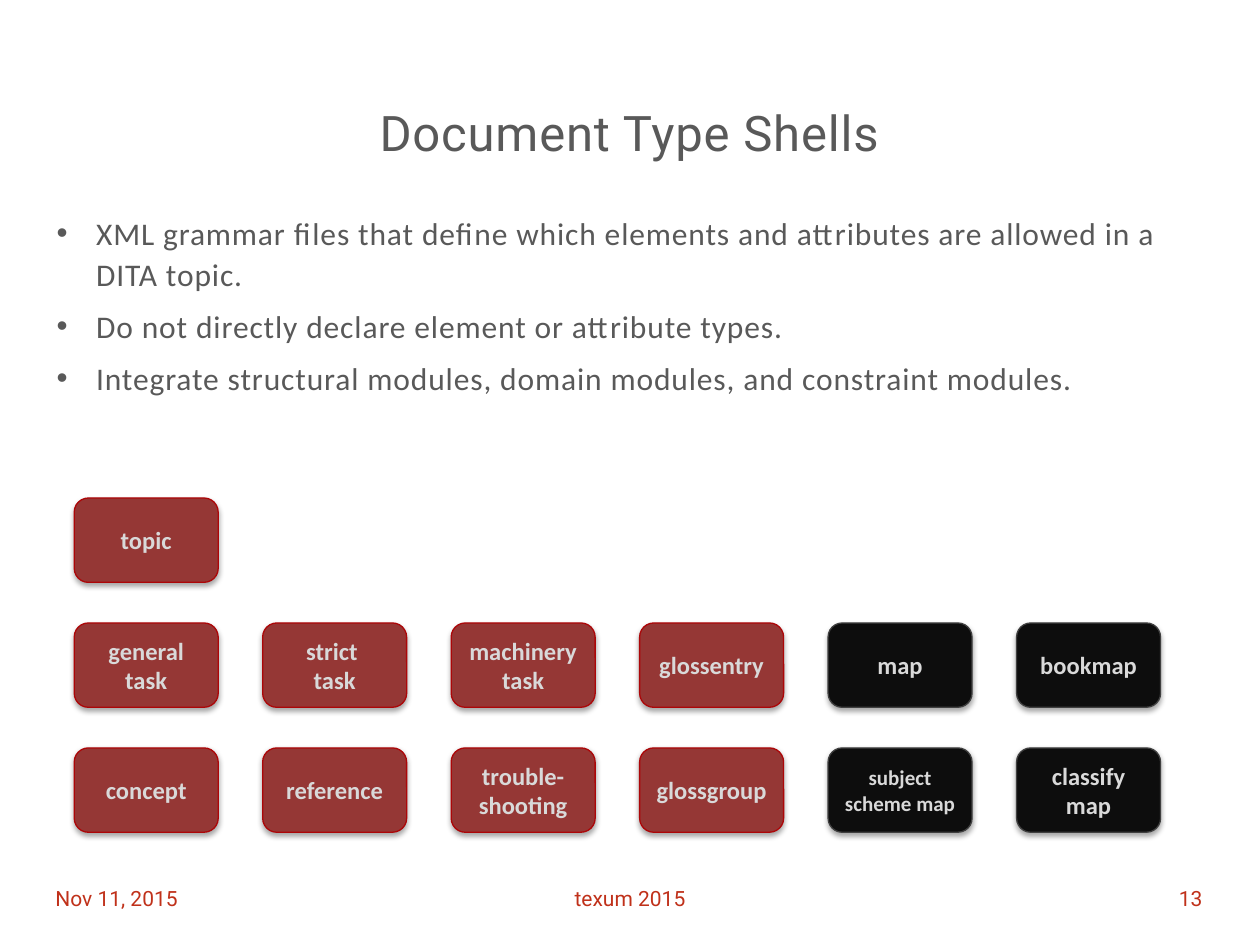
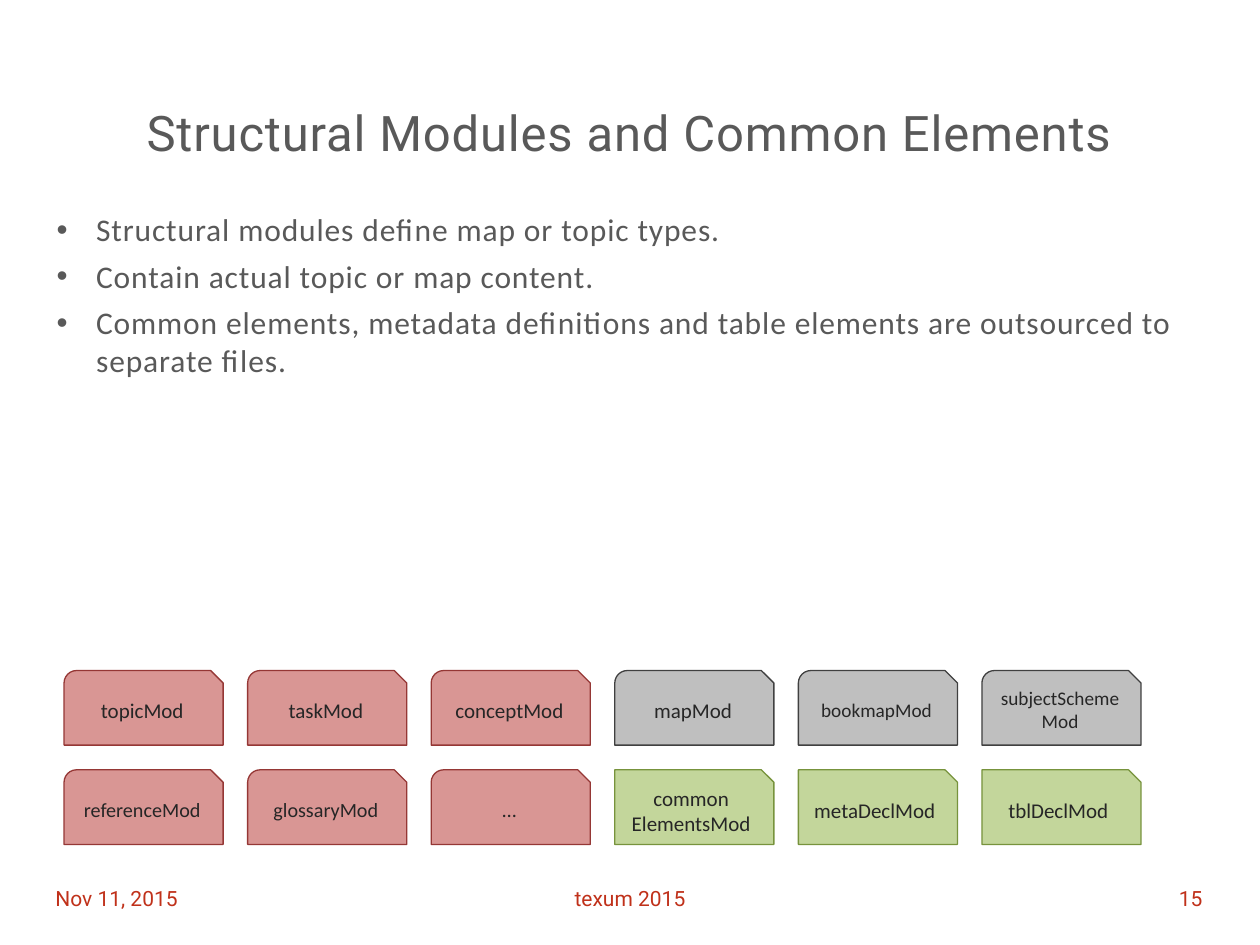
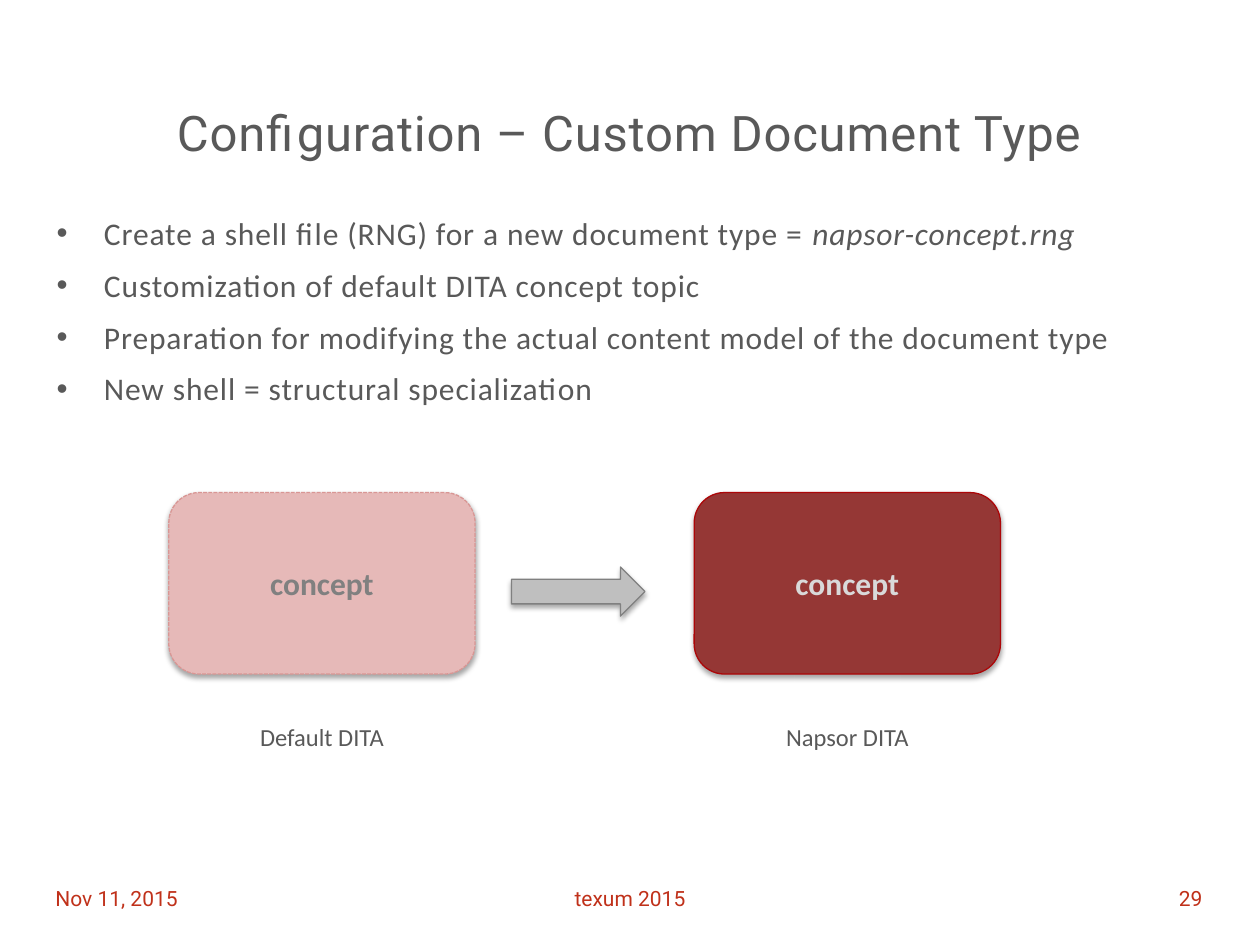
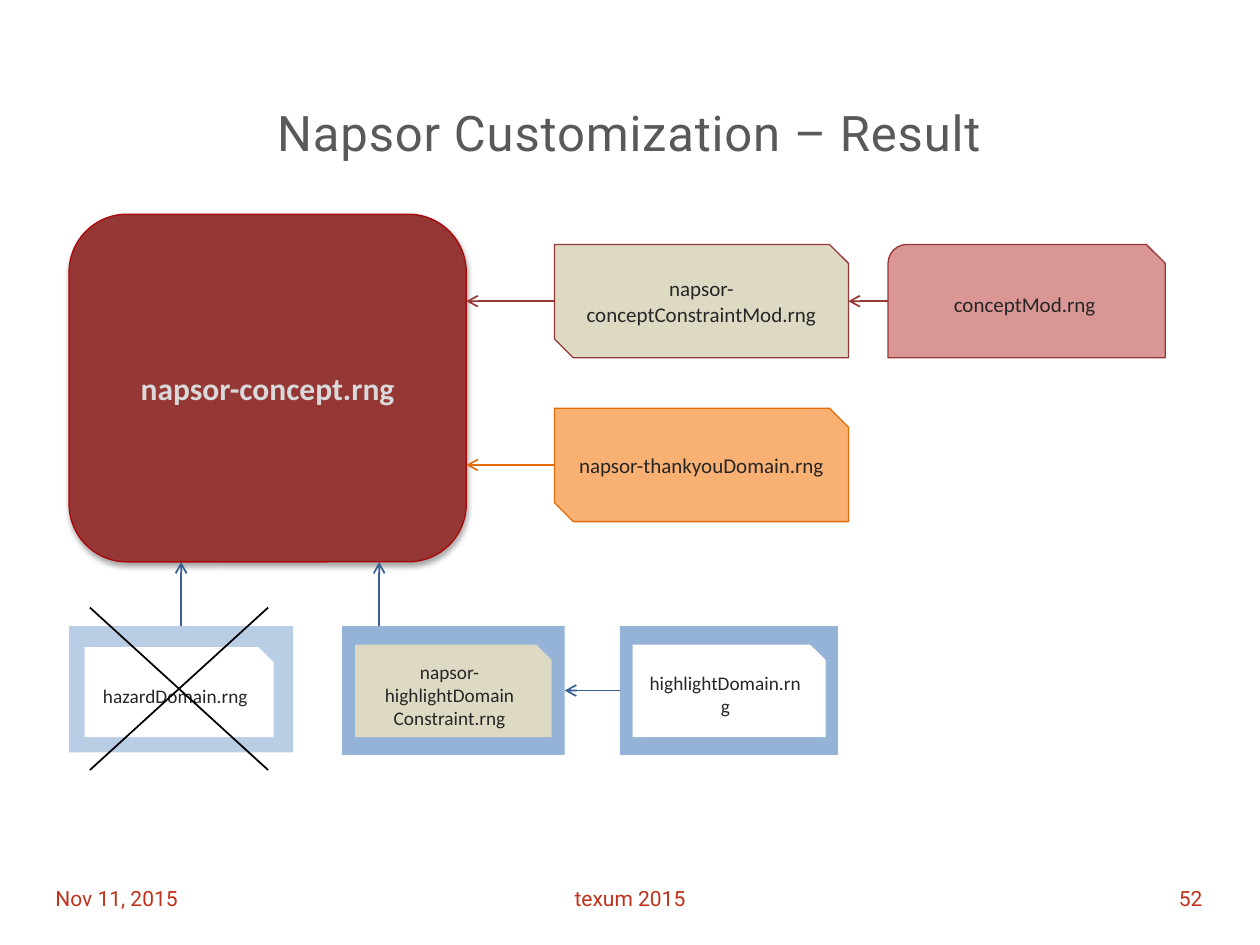
from copy import deepcopy
from dataclasses import dataclass

from lxml import etree
from pptx import Presentation
from pptx.dml.color import RGBColor
from pptx.enum.dml import MSO_LINE
from pptx.enum.shapes import MSO_CONNECTOR, MSO_SHAPE, PP_PLACEHOLDER
from pptx.enum.text import MSO_ANCHOR, MSO_AUTO_SIZE, PP_ALIGN
from pptx.oxml.ns import qn
from pptx.util import Pt

ROUND = MSO_SHAPE.ROUNDED_RECTANGLE
RECT = MSO_SHAPE.RECTANGLE
SNIP = MSO_SHAPE.SNIP_1_RECTANGLE
SNIP_ROUND = MSO_SHAPE.SNIP_ROUND_RECTANGLE
SNIP_DIAGONAL = MSO_SHAPE.SNIP_2_DIAG_RECTANGLE
ARROW = MSO_SHAPE.RIGHT_ARROW
STRAIGHT = MSO_CONNECTOR.STRAIGHT
DASH = MSO_LINE.SQUARE_DOT
LEFT, CENTER, RIGHT = PP_ALIGN.LEFT, PP_ALIGN.CENTER, PP_ALIGN.RIGHT
TOP, MIDDLE = MSO_ANCHOR.TOP, MSO_ANCHOR.MIDDLE
NO_FIT = MSO_AUTO_SIZE.NONE
TOP_SIDE, LEFT_SIDE, BOTTOM_SIDE, RIGHT_SIDE = range(4)
TITLE_AND_BODY, TITLE_ONLY = 1, 5


@dataclass(frozen=True)
class Theme:
    title_font: str = "Roboto"
    body_font: str = "Calibri"
    title_size: float = 28
    body_size: float = 18
    shell_size: float = 14
    module_size: float = 12
    domain_size: float = 11
    footer_size: float = 12
    spacing: int = 50
    text: str = "595959"
    dark_text: str = "262626"
    footer: str = "C0311A"
    black: str = "000000"
    red: str = "953735"
    orange: str = "E46C0A"
    blue: str = "376092"
    frame_blue: str = "95B3D7"
    pale_blue: str = "B9CDE5"


THEME = Theme()


@dataclass(frozen=True)
class Look:
    fill: str
    line: str = None
    color: str = THEME.dark_text
    bold: bool = False
    shadow: bool = False
    dash: bool = False


SHELL = Look(THEME.red, "AC0608", "D9D9D9", bold=True, shadow=True)
MAP_SHELL = Look("0D0D0D", "404040", "D9D9D9", bold=True, shadow=True)
OLD_SHELL = Look("E6B9B8", "D99694", "808080", bold=True, shadow=True, dash=True)
STEP = Look("BFBFBF", "808080", shadow=True)
TOPIC_MODULE = Look("D99694", THEME.red)
MAP_MODULE = Look("BFBFBF", "404040")
COMMON_MODULE = Look("C3D69B", "77933C")
CONSTRAINT = Look("DDD9C3", THEME.red)
DOMAIN = Look("F9B073", THEME.orange)
FRAME = Look(THEME.frame_blue)
OLD_FRAME = Look(THEME.pale_blue)
WHITE_CARD = Look("FFFFFF")
CONSTRAINT_CARD = Look("DDD9C3")

# Content
DATE, EVENT = "Nov 11, 2015", "texum 2015"

# A bullet is its plain text and its italic ending
SHELL_BULLETS = [
    ("XML grammar files that define which elements and attributes are allowed in a DITA topic.", ""),
    ("Do not directly declare element or attribute types.", ""),
    ("Integrate structural modules, domain modules, and constraint modules.", ""),
]
MODULE_BULLETS = [
    ("Structural modules define map or topic types.", ""),
    ("Contain actual topic or map content.", ""),
    ("Common elements, metadata definitions and table elements are outsourced to separate files.", ""),
]
CONFIGURATION_BULLETS = [
    ("Create a shell file (RNG) for a new document type = ", "napsor-concept.rng"),
    ("Customization of default DITA concept topic", ""),
    ("Preparation for modifying the actual content model of the document type", ""),
    ("New shell = structural specialization", ""),
]

SHELL_ROWS = [
    ["topic"],
    ["general task", "strict \ntask", "machinery task", "glossentry", "map", "bookmap"],
    ["concept", "reference", "trouble-\nshooting", "glossgroup",
     "subject scheme map", "classify map"],
]
SMALL_SHELLS = {"subject scheme map": 12}
TOPIC_COLUMNS = 4

# Each run of three modules shares an outline and a look
MODULE_ROWS = [
    [(SNIP_ROUND, TOPIC_MODULE, ["topicMod", "taskMod", "conceptMod"]),
     (SNIP_ROUND, MAP_MODULE, ["mapMod", "bookmapMod", "subjectSchemeMod"])],
    [(SNIP_ROUND, TOPIC_MODULE, ["referenceMod", "glossaryMod", "…"]),
     (SNIP, COMMON_MODULE, ["common\nElementsMod", "metaDeclMod", "tblDeclMod"])],
]
SMALL_MODULES = {"bookmapMod": 11, "subjectSchemeMod": 11,
                 "referenceMod": 11.5, "glossaryMod": 11.5, "…": 11.5}

CONCEPTS = [(96.5, OLD_SHELL, "Default DITA"), (396.7, SHELL, "Napsor DITA")]

# Result parts: name -> outline, look, place, text, size
RESULT_PARTS = {
    "shell": (ROUND, SHELL, (39.5, 122.4, 227, 198.7), "napsor-concept.rng", THEME.body_size),
    "highlight": (RECT, FRAME, (354.2, 357.8, 124.6, 73.6), "", 0),
    "highlight card": (SNIP, WHITE_CARD, (361.6, 368.4, 110.2, 52.8),
                       "highlightDomain.rng", THEME.domain_size),
    "restriction": (RECT, FRAME, (195.5, 357.8, 127.2, 73.6), "", 0),
    "restriction card": (SNIP, CONSTRAINT_CARD, (203, 368.4, 112.3, 52.8),
                         "napsor-highlightDomain\nConstraint.rng", THEME.domain_size),
    "constraint": (SNIP_DIAGONAL, CONSTRAINT, (316.8, 139.7, 168, 64.8),
                   "napsor-conceptConstraintMod.rng", THEME.module_size),
    "concept": (SNIP_ROUND, TOPIC_MODULE, (507.5, 139.7, 158.4, 64.8),
                "conceptMod.rng", THEME.module_size),
    "hazard": (RECT, OLD_FRAME, (39.5, 357.8, 128, 72.2), "", 0),
    "hazard card": (SNIP, WHITE_CARD, (48.4, 369.8, 108, 51.4),
                    "hazardDomain.rng", THEME.domain_size),
    "domain": (SNIP_DIAGONAL, DOMAIN, (316.8, 233.3, 168, 64.8),
               "napsor-thankyouDomain.rng", THEME.module_size),
}


# Shared helpers
def points(*values):
    return [Pt(round(value, 2)) for value in values]


def move(shape, place):
    shape.left, shape.top, shape.width, shape.height = points(*place)


def style(para, font, size, color, bold=False):
    for span in para.runs:
        span.font.name = font
        span.font.size = Pt(size)
        span.font.bold = bold
        span.font.color.rgb = RGBColor.from_string(color)


def space_letters(para):
    for span in para.runs:
        span.font._element.set("spc", str(THEME.spacing))


def add_shadow(shape):
    effects = shape.element.spPr.find(qn("a:effectLst"))
    shadow = etree.SubElement(effects, qn("a:outerShdw"), blurRad=str(Pt(3.1)),
                              dist=str(Pt(1.8)), dir="5400000", rotWithShape="0")
    color = etree.SubElement(shadow, qn("a:srgbClr"), val=THEME.black)
    etree.SubElement(color, qn("a:alpha"), val="35000")


def add_part(page, outline, look, place, text="", size=0):
    part = page.shapes.add_shape(outline, *points(*place))
    part.fill.solid()
    part.fill.fore_color.rgb = RGBColor.from_string(look.fill)
    if look.line:
        part.line.color.rgb = RGBColor.from_string(look.line)
        part.line.width = Pt(0.75)
        if look.dash:
            part.line.dash_style = DASH
    else:
        part.line.fill.background()
    part.shadow.inherit = False
    if look.shadow:
        add_shadow(part)
    if text:
        part.text_frame.word_wrap = True
        part.text_frame.vertical_anchor = MIDDLE
        para = part.text_frame.paragraphs[0]
        para.text = text
        para.alignment = CENTER
        style(para, THEME.body_font, size, look.color, look.bold)
    return part


def add_line(page, start, end, color, arrow=True):
    line = page.shapes.add_connector(STRAIGHT, *points(*start, *end))
    line.line.color.rgb = RGBColor.from_string(color)
    line.line.width = Pt(1)
    properties = line.element.spPr
    if arrow:
        etree.SubElement(properties.find(qn("a:ln")), qn("a:tailEnd"), type="arrow")
    etree.SubElement(properties, qn("a:effectLst"))
    return line


def add_footers(page, number):
    footers = {
        PP_PLACEHOLDER.DATE: (DATE, LEFT, (24.5, 499, 168, 28.8)),
        PP_PLACEHOLDER.FOOTER: (EVENT, CENTER, (254.2, 499, 211.6, 28.8)),
        PP_PLACEHOLDER.SLIDE_NUMBER: (str(number), RIGHT, (526.3, 499, 168, 28.8)),
    }
    for source in page.slide_layout.placeholders:
        kind = source.placeholder_format.type
        if kind not in footers:
            continue
        page.shapes.element.append(deepcopy(source.element))
        footer = page.placeholders[source.placeholder_format.idx]
        text, alignment, place = footers[kind]
        move(footer, place)
        footer.text_frame.text = text
        footer.text_frame.vertical_anchor = MIDDLE
        para = footer.text_frame.paragraphs[0]
        para.alignment = alignment
        style(para, THEME.title_font, THEME.footer_size, THEME.footer)


def add_page(deck, title, number, layout=TITLE_AND_BODY):
    page = deck.slides.add_slide(deck.slide_layouts[layout])
    heading = page.shapes.title
    move(heading, (25.2, 54.7, 669, 33.8))
    frame = heading.text_frame
    frame.text = title
    frame.auto_size = NO_FIT
    frame.vertical_anchor = TOP
    para = frame.paragraphs[0]
    para.alignment = CENTER
    style(para, THEME.title_font, THEME.title_size, THEME.text)
    space_letters(para)
    add_footers(page, number)
    return page


def fill_body(page, bullets, indent=22.5, pitch=Pt(23.6), gap=6):
    body = page.placeholders[1]
    move(body, (25.2, 116.6, 669, 368.6))
    frame = body.text_frame
    frame.text = "\n".join(plain for plain, _ in bullets)
    frame.auto_size = NO_FIT
    frame.vertical_anchor = TOP
    for para, (_, italic) in zip(frame.paragraphs, bullets):
        if italic:
            span = para.add_run()
            span.text = italic
            span.font.italic = True
        para.line_spacing = pitch
        para.space_before = Pt(gap)
        properties = para._p.get_or_add_pPr()
        properties.set("marL", str(Pt(indent)))
        properties.set("indent", str(-Pt(indent)))
        style(para, THEME.body_font, THEME.body_size, THEME.text)
        space_letters(para)


# Pages
def build_shells(deck):
    page = add_page(deck, "Document Type Shells", 13)
    fill_body(page, SHELL_BULLETS)
    for row, names in enumerate(SHELL_ROWS):
        for column, name in enumerate(names):
            look = SHELL if column < TOPIC_COLUMNS else MAP_SHELL
            place = (42.4 + 107.7 * column, 284.6 + 71.4 * row, 82.3, 48.2)
            add_part(page, ROUND, look, place, name,
                     SMALL_SHELLS.get(name, THEME.shell_size))


def build_modules(deck):
    page = add_page(deck, "Structural Modules and Common Elements", 15)
    fill_body(page, MODULE_BULLETS, pitch=1.0, gap=5)
    for row, families in enumerate(MODULE_ROWS):
        cells = [(outline, look, name) for outline, look, names in families for name in names]
        for column, (outline, look, name) in enumerate(cells):
            place = (36.6 + 104.9 * column, 383.2 + 56.7 * row, 90.9, 42.6)
            add_part(page, outline, look, place, name,
                     SMALL_MODULES.get(name, THEME.module_size))


def build_configuration(deck):
    page = add_page(deck, "Configuration – Custom Document Type", 29)
    fill_body(page, CONFIGURATION_BULLETS, indent=27)
    width, caption_width = 175, 86
    for left, look, caption in CONCEPTS:
        add_part(page, ROUND, look, (left, 281.5, width, 103.7), "concept", THEME.body_size)
        label = page.shapes.add_textbox(
            *points(left + (width - caption_width) / 2, 409, caption_width, 24.5))
        label.text_frame.word_wrap = False
        label.text_frame.text = caption
        para = label.text_frame.paragraphs[0]
        para.alignment = CENTER
        style(para, THEME.body_font, THEME.shell_size, THEME.text)
    add_part(page, ARROW, STEP, (292.3, 324, 76.3, 28.1))


def build_result(deck):
    page = add_page(deck, "Napsor Customization – Result", 52, TITLE_ONLY)
    parts = {name: add_part(page, *part) for name, part in RESULT_PARTS.items()}

    # Arrows into the shell and between modules
    shell_right, shell_bottom, frame_top = 266.5, 321.1, 357.8
    constraint_y, domain_y, frame_y = 172.1, 265.7, 394.6
    add_line(page, (316.8, constraint_y), (shell_right, constraint_y), THEME.red)
    add_line(page, (507.5, constraint_y), (484.8, constraint_y), THEME.red)
    add_line(page, (316.8, domain_y), (shell_right, domain_y), THEME.orange)
    add_line(page, (216.7, frame_top), (216.7, shell_bottom), THEME.blue)
    removed = add_line(page, (103.5, frame_top), (103.5, shell_bottom), THEME.blue)
    removed.begin_connect(parts["hazard"], TOP_SIDE)
    refined = add_line(page, (354.2, frame_y), (322.7, frame_y), THEME.blue)
    refined.begin_connect(parts["highlight"], LEFT_SIDE)
    refined.end_connect(parts["restriction"], RIGHT_SIDE)

    # Cross over the removed domain
    left, top, right, bottom = 51.4, 347.2, 153.2, 440
    add_line(page, (left, top), (right, bottom), THEME.black, arrow=False)
    add_line(page, (right, top), (left, bottom), THEME.black, arrow=False)


def main():
    deck = Presentation()
    deck.slide_width, deck.slide_height = Pt(720), Pt(540)
    for build in (build_shells, build_modules, build_configuration, build_result):
        build(deck)
    deck.save("out.pptx")


if __name__ == "__main__":
    main()
